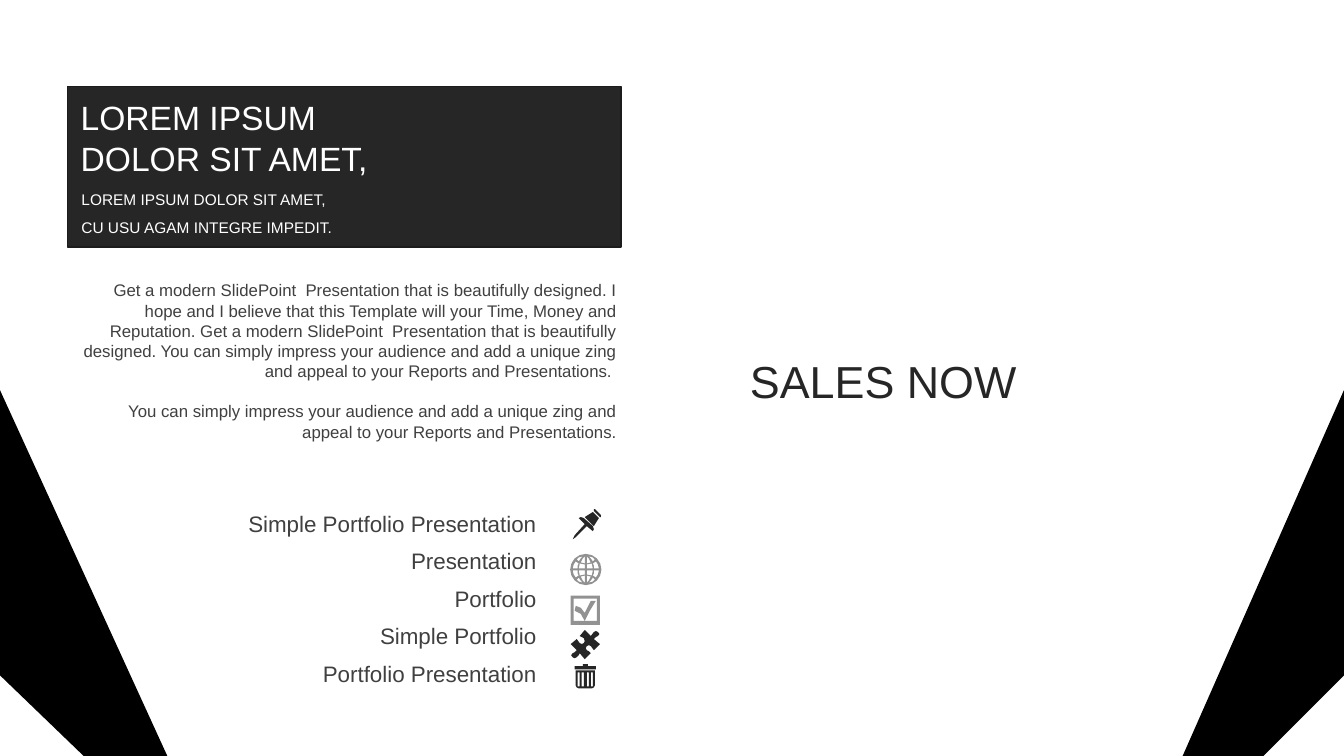
from lxml import etree
from pptx import Presentation
from pptx.dml.color import RGBColor
from pptx.enum.shapes import MSO_SHAPE
from pptx.enum.text import MSO_ANCHOR, MSO_AUTO_SIZE, PP_ALIGN
from pptx.oxml.ns import qn
from pptx.util import Inches, Pt

BLACK = RGBColor(0x00, 0x00, 0x00)
DARK = RGBColor(0x26, 0x26, 0x26)
EDGE = RGBColor(0x1C, 0x1C, 0x1C)
TEXT = RGBColor(0x40, 0x40, 0x40)
GREY = RGBColor(0x92, 0x92, 0x92)
WHITE = RGBColor(0xFF, 0xFF, 0xFF)

prs = Presentation()
prs.slide_width, prs.slide_height = Inches(13.33), Inches(7.5)
slide = prs.slides.add_slide(prs.slide_layouts[5])
shapes = slide.shapes


def write(sp, lines, size, color, align, spacing=1.0, anchor=MSO_ANCHOR.TOP):
    tf = sp.text_frame
    tf.word_wrap = True
    tf.auto_size = MSO_AUTO_SIZE.NONE
    tf.vertical_anchor = anchor
    tf.text = "\n".join(lines)
    for p in tf.paragraphs:
        p.alignment = align
        p.line_spacing = spacing
        p.space_before = Pt(0)
        for r in p.runs:
            r.font.name = "Arial"
            r.font.size = Pt(size)
            r.font.color.rgb = color
    return tf


def draw(contours, color):
    """Fill closed contours, given in inches on the slide, as one freeform."""
    paths = [[(Inches(x), Inches(y)) for x, y in c] for c in contours]
    builder = shapes.build_freeform(*paths[0][0], scale=1.0)
    builder.add_line_segments(paths[0][1:], close=True)
    for path in paths[1:]:
        builder.move_to(*path[0])
        builder.add_line_segments(path[1:], close=True)
    sp = builder.convert_to_shape()
    sp.shadow.inherit = False
    sp.fill.solid()
    sp.fill.fore_color.rgb = color
    sp.line.fill.background()


# Body text
body = shapes.add_textbox(Inches(0.63), Inches(2.73), Inches(5.61), Inches(1.72))
tf = write(body, [
    "Get a modern SlidePoint  Presentation that is beautifully designed. I hope "
    "and I believe that this Template will your Time, Money and Reputation. Get a "
    "modern SlidePoint  Presentation that is beautifully designed. You can simply "
    "impress your audience and add a unique zing and appeal to your Reports and "
    "Presentations. ",
    "You can simply impress your audience and add a unique zing and appeal to your "
    "Reports and Presentations.",
], 12, TEXT, PP_ALIGN.RIGHT)
tf.margin_left = tf.margin_right = Inches(0.12)
tf.paragraphs[1].space_before = Pt(14.4)

# Labels
labels = ["Simple Portfolio Presentation", "Presentation", "Portfolio",
          "Simple Portfolio", "Portfolio Presentation"]
for i, label in enumerate(labels):
    box = shapes.add_textbox(Inches(2.19), Inches(5.06 + 1.49 / 4 * i),
                             Inches(3.23), Inches(0.32))
    write(box, [label], 16, TEXT, PP_ALIGN.RIGHT, spacing=0.8)

# Pin icon
draw([
    [(5.79, 5.14), (5.88, 5.22), (5.89, 5.25), (5.88, 5.27), (5.82, 5.22),
     (5.71, 5.33), (5.68, 5.35), (5.7, 5.31), (5.8, 5.2), (5.74, 5.14), (5.76, 5.13)],
    [(5.88, 5.08), (5.94, 5.14), (5.89, 5.22), (5.8, 5.13)],
    [(5.9, 5.05), (5.96, 5.11), (5.96, 5.13), (5.95, 5.13), (5.89, 5.07), (5.89, 5.05)],
], DARK)

# Globe icon: a disc with the cells of one quadrant mirrored into all four
GLOBE_X, GLOBE_Y = 5.81, 5.65
disc = [(0, 0.155), (0.06, 0.143), (0.11, 0.11), (0.143, 0.06), (0.155, 0)]
rim = (disc + [(x, -y) for x, y in disc[-2::-1]]
       + [(-x, -y) for x, y in disc[1:]] + [(-x, y) for x, y in disc[-2:0:-1]])
cells = [
    [(0.01, 0.06), (0.01, 0.13), (0.03, 0.11), (0.05, 0.07)],
    [(0.01, 0.01), (0.01, 0.05), (0.06, 0.06), (0.07, 0.01)],
    [(0.08, 0.01), (0.08, 0.04), (0.07, 0.06), (0.1, 0.08), (0.12, 0.05), (0.13, 0.01)],
    [(0.03, 0.13), (0.05, 0.11), (0.07, 0.08), (0.09, 0.1), (0.07, 0.12)],
]
globe = [rim] + [[(sx * x, sy * y) for x, y in cell]
                 for cell in cells for sx in (1, -1) for sy in (1, -1)]
draw([[(GLOBE_X + x, GLOBE_Y + y) for x, y in c] for c in globe], GREY)

# Checkbox icon
draw([
    [(5.66, 5.91), (5.95, 5.91), (5.95, 6.2), (5.66, 6.2)],
    [(5.69, 5.94), (5.92, 5.94), (5.92, 6.16), (5.69, 6.16)],
    [(5.7, 6.06), (5.71, 6.01), (5.76, 6.03), (5.8, 6.08), (5.86, 5.96),
     (5.91, 5.96), (5.85, 6.06), (5.8, 6.16), (5.76, 6.09)],
], GREY)

# Puzzle icon
draw([[
    (5.93, 6.27), (5.945, 6.29), (5.93, 6.31), (5.91, 6.32), (5.89, 6.34),
    (5.95, 6.39), (5.89, 6.45), (5.875, 6.43), (5.86, 6.41), (5.84, 6.4),
    (5.82, 6.41), (5.81, 6.43), (5.82, 6.45), (5.84, 6.46), (5.86, 6.48),
    (5.8, 6.54), (5.75, 6.48), (5.74, 6.5), (5.72, 6.52), (5.7, 6.53),
    (5.68, 6.52), (5.665, 6.5), (5.68, 6.48), (5.7, 6.47), (5.72, 6.45),
    (5.66, 6.39), (5.72, 6.34), (5.735, 6.36), (5.75, 6.38), (5.77, 6.39),
    (5.79, 6.38), (5.8, 6.36), (5.79, 6.33), (5.77, 6.32), (5.75, 6.31),
    (5.8, 6.25), (5.86, 6.31), (5.875, 6.29), (5.89, 6.27), (5.91, 6.26),
]], DARK)

# Bin icon
slots = [[(x, 6.67), (x + 0.02, 6.67), (x + 0.02, 6.81), (x, 6.81)]
         for x in (5.73, 5.77, 5.82, 5.86)]
draw([
    [(5.71, 6.65), (5.9, 6.65), (5.9, 6.8), (5.89, 6.82), (5.87, 6.83),
     (5.74, 6.83), (5.72, 6.82), (5.71, 6.8)],
    [(5.78, 6.59), (5.83, 6.59), (5.83, 6.61), (5.91, 6.61), (5.91, 6.64),
     (5.7, 6.64), (5.7, 6.61), (5.78, 6.61)],
] + slots, DARK)

# Sales caption on a translucent panel
panel = shapes.add_shape(MSO_SHAPE.RECTANGLE, Inches(7.34), Inches(3.46),
                         Inches(5.33), Inches(0.64))
panel.shadow.inherit = False
panel.fill.solid()
panel.fill.fore_color.rgb = WHITE
color = panel._element.spPr.find(qn("a:solidFill"))[0]
etree.SubElement(color, qn("a:alpha")).set("val", "70000")
panel.line.fill.background()
write(panel, ["SALES NOW"], 32, DARK, PP_ALIGN.JUSTIFY)

# Heading block
banner = shapes.add_shape(MSO_SHAPE.RECTANGLE, Inches(0.67), Inches(0.86),
                          Inches(5.49), Inches(1.59))
banner.shadow.inherit = False
banner.fill.solid()
banner.fill.fore_color.rgb = DARK
banner.line.color.rgb = EDGE
banner.line.width = Pt(1)
subtitle = shapes.add_textbox(Inches(0.71), Inches(1.76), Inches(5.43), Inches(0.62))
write(subtitle, ["LOREM IPSUM DOLOR SIT AMET,", "CU USU AGAM INTEGRE IMPEDIT."],
      11, WHITE, PP_ALIGN.JUSTIFY, spacing=1.5, anchor=MSO_ANCHOR.MIDDLE)
title = shapes.title
title.left, title.top = Inches(0.7), Inches(0.91)
title.width, title.height = Inches(5.43), Inches(0.91)
write(title, ["LOREM IPSUM", "DOLOR SIT AMET,"], 24, WHITE, PP_ALIGN.JUSTIFY,
      anchor=MSO_ANCHOR.MIDDLE)
shapes._spTree.append(title._element)  # bring the title in front of the banner

# Corner wedges
draw([[(0, 6.7), (0.83, 7.5), (1.66, 7.5), (0, 3.87)]], BLACK)
draw([[(13.33, 6.7), (12.53, 7.5), (11.73, 7.5), (13.33, 3.87)]], BLACK)

prs.save("out.pptx")
